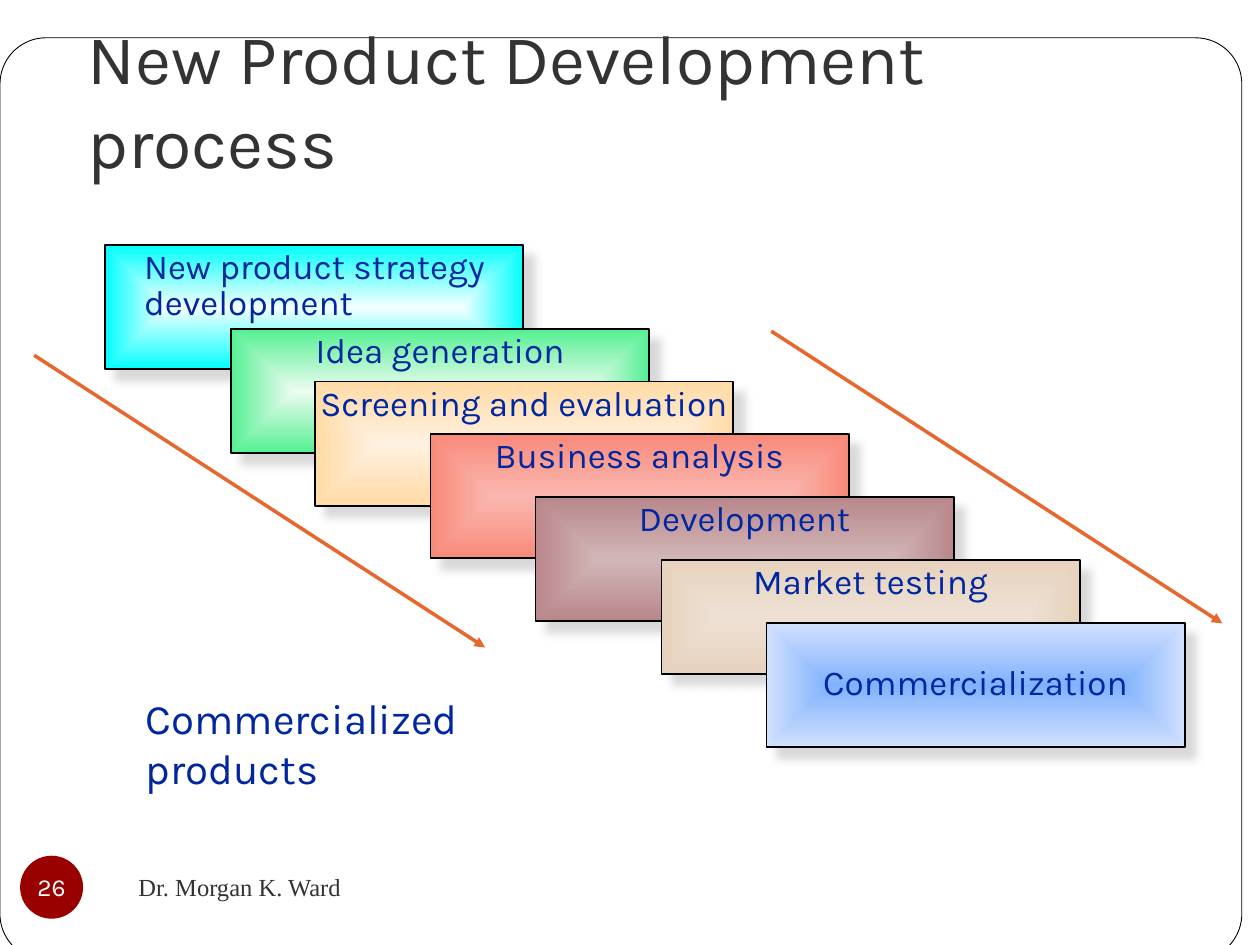
from dataclasses import dataclass

from lxml import etree
from pptx import Presentation
from pptx.dml.color import RGBColor
from pptx.enum import shapes, text
from pptx.oxml import ns
from pptx.util import Pt

WHITE = RGBColor(0xFF, 0xFF, 0xFF)
BLACK = RGBColor(0, 0, 0)
GREY = RGBColor(0x33, 0x33, 0x33)
NAVY = RGBColor(0x00, 0x27, 0x9F)
ORANGE = RGBColor(0xE6, 0x68, 0x2E)
RED = RGBColor(0x99, 0, 0)
SHADOW = RGBColor(0xCC, 0xCC, 0xCC)
BODY_FONT = "Karla"
STEP_WIDTH = 239


@dataclass
class Step:
    lines: tuple[str, ...]
    left: float
    top: float
    center: RGBColor
    edge: RGBColor
    height: float = 71
    anchor: text.MSO_ANCHOR = text.MSO_ANCHOR.TOP
    align: text.PP_ALIGN = text.PP_ALIGN.CENTER
    indent: float = 0


@dataclass
class Arrow:
    left: float
    top: float
    width: float = 257.75
    height: float = 167


STEPS = [
    Step(("New product strategy", "development"), 60, 140,
         RGBColor(0xF5, 0xFF, 0xFF), RGBColor(0x00, 0xFF, 0xFE),
         align=text.PP_ALIGN.LEFT, indent=22.3),
    Step(("Idea generation",), 132, 188,
         RGBColor(0xEC, 0xFC, 0xF0), RGBColor(0x54, 0xF0, 0x93)),
    Step(("Screening and evaluation",), 180, 218,
         RGBColor(0xFF, 0xF1, 0xE1), RGBColor(0xFF, 0xDB, 0xA6)),
    Step(("Business analysis",), 246, 248,
         RGBColor(0xFA, 0xB7, 0xB0), RGBColor(0xF8, 0x8A, 0x7A)),
    Step(("Development",), 306, 284,
         RGBColor(0xD1, 0xB6, 0xB8), RGBColor(0xB9, 0x87, 0x8B)),
    Step(("Market testing",), 378, 320,
         RGBColor(0xEE, 0xE1, 0xD4), RGBColor(0xE6, 0xD2, 0xBE), height=65),
    Step(("Commercialization",), 438, 356,
         RGBColor(0x80, 0xB2, 0xFC), RGBColor(0xD2, 0xE0, 0xFE),
         anchor=text.MSO_ANCHOR.MIDDLE),
]
ARROWS = [Arrow(19.5, 203), Arrow(440.75, 189.25)]


def add_element(parent, tag: str, **attributes):
    values = {key: str(value) for key, value in attributes.items()}
    return etree.SubElement(parent, ns.qn(tag), values)


def style(p, size: float, color: RGBColor, name: str = BODY_FONT) -> None:
    p.font.size = Pt(size)
    p.font.name = name
    p.font.color.rgb = color


def fill_from_center(sp, center: RGBColor, edge: RGBColor) -> None:
    sp.fill.gradient()
    for stop, color in zip(sp.fill.gradient_stops, (center, edge)):
        stop.color.rgb = color
    grad = sp._element.spPr.find(ns.qn("a:gradFill"))
    grad.remove(grad.find(ns.qn("a:lin")))
    focus = add_element(grad, "a:path", path="shape")
    add_element(focus, "a:fillToRect", l=50000, t=50000, r=50000, b=50000)


def add_shadow(sp) -> None:
    sp.shadow.inherit = False
    effects = sp._element.spPr.find(ns.qn("a:effectLst"))
    outer = add_element(effects, "a:outerShdw", blurRad=Pt(5), dist=Pt(8.5),
                        dir=45 * 60000, algn="ctr", rotWithShape=0)
    color = add_element(outer, "a:srgbClr", val=SHADOW)
    add_element(color, "a:alpha", val=75000)


def add_step(slide, step: Step) -> None:
    sp = slide.shapes.add_shape(
        shapes.MSO_SHAPE.RECTANGLE, Pt(step.left), Pt(step.top),
        Pt(STEP_WIDTH), Pt(step.height))
    fill_from_center(sp, step.center, step.edge)
    sp.line.color.rgb = BLACK
    sp.line.width = Pt(1)
    add_shadow(sp)
    tf = sp.text_frame
    tf.word_wrap = True
    tf.margin_left, tf.margin_right = Pt(step.indent), 0
    tf.vertical_anchor = step.anchor
    tf.text = "\n".join(step.lines)
    for p in tf.paragraphs:
        p.alignment = step.align
        p.line_spacing = 0.85
        style(p, 20, NAVY)


def add_arrow(slide, arrow: Arrow) -> None:
    c = slide.shapes.add_connector(
        shapes.MSO_CONNECTOR.STRAIGHT, Pt(arrow.left), Pt(arrow.top),
        Pt(arrow.left + arrow.width), Pt(arrow.top + arrow.height))
    c.line.color.rgb = ORANGE
    c.line.width = Pt(2)
    add_element(c._element.spPr.find(ns.qn("a:ln")), "a:tailEnd", type="triangle")
    add_element(c._element.spPr, "a:effectLst")


def add_label(slide, words: str, left: float, top: float, width: float,
              size: float, color: RGBColor, name: str = BODY_FONT):
    tf = slide.shapes.add_textbox(Pt(left), Pt(top), Pt(width), Pt(36)).text_frame
    tf.word_wrap = True
    tf.text = words
    style(tf.paragraphs[0], size, color, name)
    return tf


def add_frame(slide) -> None:
    sp = slide.shapes.add_shape(
        shapes.MSO_SHAPE.ROUNDED_RECTANGLE, 0, Pt(21.6), Pt(709.6), Pt(527))
    sp.adjustments[0] = 0.05
    sp.shadow.inherit = False
    sp.fill.solid()
    sp.fill.fore_color.rgb = WHITE
    sp.line.color.rgb = BLACK
    sp.line.width = Pt(0.5)
    slide.shapes._spTree.insert(2, sp._element)  # behind the title


def add_title(slide) -> None:
    title = slide.shapes.title
    title.left, title.top, title.width, title.height = (
        Pt(42.8), Pt(21.6), Pt(612), Pt(90))
    tf = title.text_frame
    tf.text = "New Product Development process"
    tf.auto_size = text.MSO_AUTO_SIZE.NONE
    tf.word_wrap = True
    tf.vertical_anchor = text.MSO_ANCHOR.BOTTOM
    tf.margin_bottom = Pt(7.2)
    tf.paragraphs[0].alignment = text.PP_ALIGN.LEFT
    style(tf.paragraphs[0], 40, GREY)


def add_page_number(slide) -> None:
    sp = slide.shapes.add_shape(
        shapes.MSO_SHAPE.OVAL, Pt(11.5), Pt(489), Pt(36), Pt(36))
    sp.shadow.inherit = False
    sp.fill.solid()
    sp.fill.fore_color.rgb = RED
    sp.line.fill.background()
    tf = sp.text_frame
    tf.margin_left = tf.margin_right = tf.margin_top = tf.margin_bottom = 0
    tf.text = "26"
    tf.paragraphs[0].alignment = text.PP_ALIGN.CENTER
    style(tf.paragraphs[0], 14, WHITE)


def main() -> None:
    prs = Presentation()
    prs.slide_width, prs.slide_height = Pt(720), Pt(540)
    slide = prs.slides.add_slide(prs.slide_layouts[5])

    # Frame and title
    add_frame(slide)
    add_title(slide)

    # Cascade of process steps
    for step in STEPS:
        add_step(slide, step)
    add_label(slide, "Commercialized products", 76.3, 392, 272, 24, NAVY)
    for arrow in ARROWS:
        add_arrow(slide, arrow)

    # Footer
    add_page_number(slide)
    footer = add_label(slide, "Dr. Morgan K. Ward", 72, 488.6, 312, 14, GREY,
                       "Times New Roman")
    footer.vertical_anchor = text.MSO_ANCHOR.MIDDLE

    prs.save("out.pptx")


if __name__ == "__main__":
    main()
